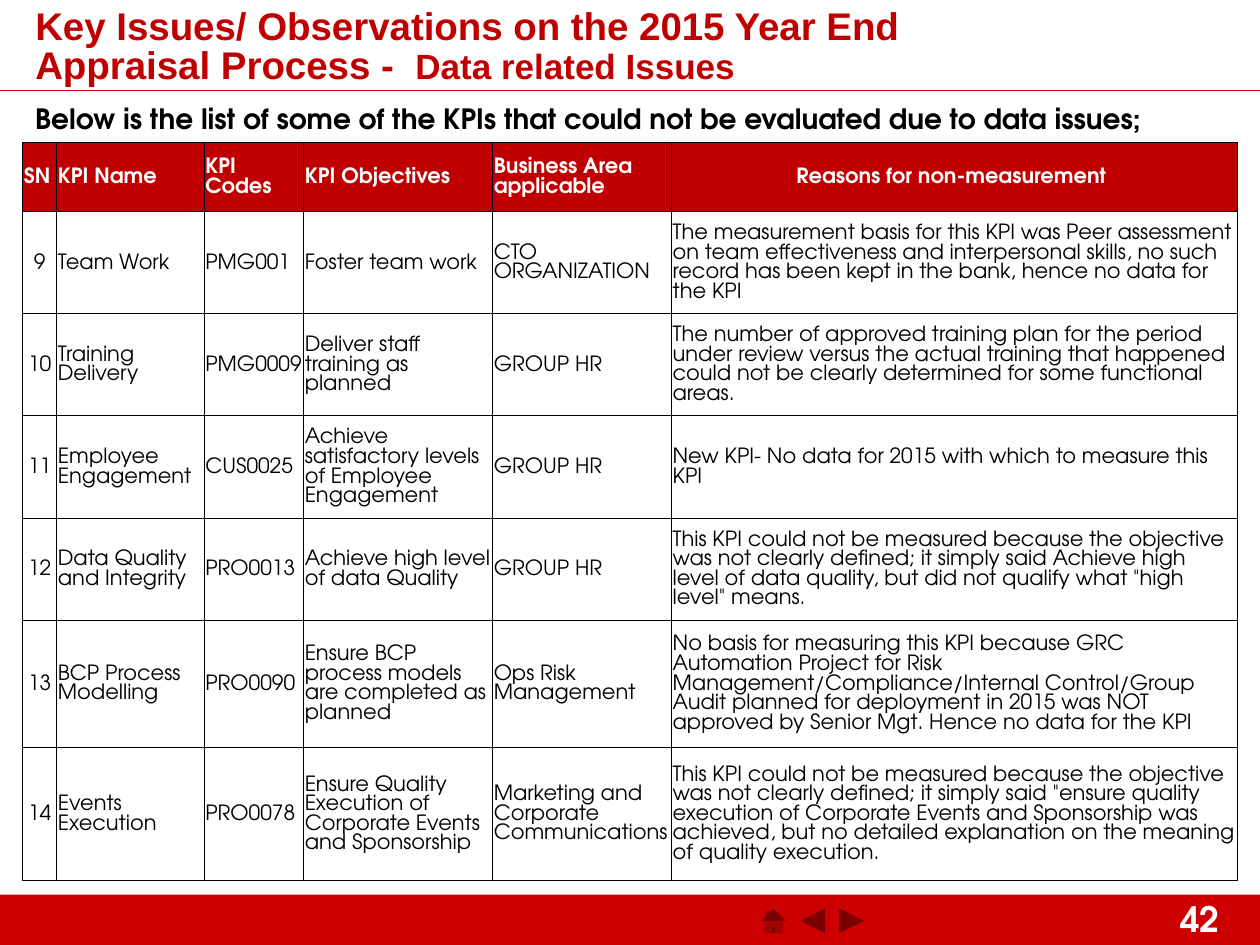
from dataclasses import dataclass

from lxml import etree
from pptx import Presentation
from pptx.dml.color import RGBColor
from pptx.enum.shapes import MSO_CONNECTOR, MSO_SHAPE
from pptx.enum.text import MSO_ANCHOR, MSO_AUTO_SIZE, PP_ALIGN
from pptx.oxml.ns import qn
from pptx.util import Inches, Pt

RECT = MSO_SHAPE.RECTANGLE
HOME = MSO_SHAPE.ACTION_BUTTON_HOME
NEXT = MSO_SHAPE.ACTION_BUTTON_FORWARD_OR_NEXT
BACK = MSO_SHAPE.ACTION_BUTTON_BACK_OR_PREVIOUS
LINE = MSO_CONNECTOR.STRAIGHT
MIDDLE, TOP = MSO_ANCHOR.MIDDLE, MSO_ANCHOR.TOP
LEFT, CENTER = PP_ALIGN.LEFT, PP_ALIGN.CENTER
FIXED = MSO_AUTO_SIZE.NONE

WIDE, HIGH = Inches(10), Inches(7.5)
RED, DARK, BLACK, WHITE = "CC0000", "C00000", "000000", "FFFFFF"
BODY, HEAD = "TeX Gyre Adventor", "Arial"

COLS = [2.7, 11.7, 7.9, 15, 14.2, 44.9]
ROWS = [7.33] + [10.8] * 4 + [13.44, 14.13]


@dataclass
class Box:
    left: float
    top: float
    width: float
    height: float

    def fit(self) -> tuple[int, int, int, int]:
        return across(self.left), down(self.top), across(self.width), down(self.height)


@dataclass
class Issue:
    number: str
    name: str
    code: str
    goal: str
    area: str
    reason: str

    def cells(self) -> list[str]:
        return [self.number, self.name, self.code, self.goal, self.area, self.reason]


TITLES = Issue("SN", "KPI Name", "KPI Codes", "KPI Objectives",
               "Business Area applicable", "Reasons for non-measurement ")
ISSUES = [
    Issue("9", "Team Work", "PMG001", "Foster team work", "CTO ORGANIZATION",
          "The measurement basis for this KPI was Peer assessment on team effectiveness and "
          "interpersonal skills, no such record has been kept in the bank, hence no data for the KPI"),
    Issue("10", "Training Delivery", "PMG0009", "Deliver staff training as planned", "GROUP HR",
          "The number of approved training plan for the period under review versus the actual "
          "training that happened could not be clearly determined for some functional areas."),
    Issue("11", "Employee Engagement", "CUS0025",
          "Achieve satisfactory levels of Employee Engagement", "GROUP HR",
          "New KPI- No data for 2015 with which to measure this KPI"),
    Issue("12", "Data Quality and Integrity", "PRO0013",
          "Achieve high level of data Quality", "GROUP HR",
          "This KPI could not be measured because the objective was not clearly defined; it simply "
          'said Achieve high level of data quality, but did not qualify what "high level" means.'),
    Issue("13", "BCP Process Modelling", "PRO0090",
          "Ensure BCP process models are completed as planned", "Ops Risk Management",
          "No basis for measuring this KPI because GRC Automation Project for Risk "
          "Management/Compliance/Internal Control/Group Audit planned for deployment in 2015 was "
          "NOT approved by Senior Mgt. Hence no data for the KPI"),
    Issue("14", "Events Execution", "PRO0078",
          "Ensure Quality Execution of Corporate Events and Sponsorship",
          "Marketing and Corporate Communications",
          "This KPI could not be measured because the objective was not clearly defined; it simply "
          'said "ensure quality execution of Corporate Events and Sponsorship was achieved, but no '
          'detailed explanation on the meaning of quality execution.'),
]


def across(share: float) -> int:
    return round(WIDE * share / 100)


def down(share: float) -> int:
    return round(HIGH * share / 100)


def tint(value: str) -> RGBColor:
    return RGBColor.from_string(value)


def style(para, face: str, size: float, color: str, bold: bool = True, align=LEFT) -> None:
    para.alignment = align
    font = para.font
    font.name, font.size, font.bold = face, Pt(size), bold
    font.color.rgb = tint(color)


def add_form(slide, kind, box: Box, flip: bool = False) -> None:
    form = slide.shapes.add_shape(kind, *box.fit())
    form.shadow.inherit = False
    form.fill.solid()
    form.fill.fore_color.rgb = tint(RED)
    form.line.fill.background()
    if flip:
        form._element.spPr.find(qn("a:xfrm")).set("flipH", "1")


def add_label(slide, box: Box, words: str, size: float, color: str) -> None:
    frame = slide.shapes.add_textbox(*box.fit()).text_frame
    frame.word_wrap = True
    frame.vertical_anchor = TOP
    frame.text = words
    style(frame.paragraphs[0], BODY, size, color)


def add_rule(slide, top: float) -> None:
    rule = slide.shapes.add_connector(LINE, 0, down(top), WIDE, down(top))
    rule.line.color.rgb = tint(RED)
    rule.line.width = Pt(0.75)
    etree.SubElement(rule._element.spPr, qn("a:effectLst"))


def set_title(slide, box: Box) -> None:
    title = slide.shapes.title
    title.left, title.top, title.width, title.height = box.fit()
    frame = title.text_frame
    frame.auto_size = FIXED
    frame.word_wrap = True
    frame.vertical_anchor = MIDDLE
    para = frame.paragraphs[0]
    style(para, HEAD, 22, DARK)
    para.line_spacing = 0.85
    para.add_run().text = "Key Issues/ Observations on the 2015 Year End Appraisal Process -  "
    tail = para.add_run()
    tail.text = "Data related Issues"
    tail.font.size = Pt(20)


def add_edges(cell) -> None:
    props = cell._tc.get_or_add_tcPr()
    for side in ("L", "R", "T", "B"):
        edge = etree.SubElement(props, qn(f"a:ln{side}"), w=str(Pt(0.5)))
        fill = etree.SubElement(edge, qn("a:solidFill"))
        etree.SubElement(fill, qn("a:srgbClr"), val=BLACK)


def fill_cell(cell, words: str, head: bool, align) -> None:
    add_edges(cell)
    if head:
        cell.fill.solid()
        cell.fill.fore_color.rgb = tint(DARK)
    else:
        cell.fill.background()
    cell.vertical_anchor = MIDDLE
    cell.margin_left = cell.margin_right = cell.margin_top = Inches(0.01)
    cell.margin_bottom = 0
    cell.text = words
    style(cell.text_frame.paragraphs[0], BODY, 12, WHITE if head else BLACK, head, align)


def add_grid(slide, left: float, top: float) -> None:
    box = Box(left, top, sum(COLS), sum(ROWS))
    table = slide.shapes.add_table(len(ROWS), len(COLS), *box.fit()).table
    table.first_row = table.horz_banding = False
    for col, share in zip(table.columns, COLS):
        col.width = across(share)
    for row, share in zip(table.rows, ROWS):
        row.height = down(share)
    for r, issue in enumerate([TITLES] + ISSUES):
        head = r == 0
        mid = len(COLS) - 1 if head else 0
        for c, words in enumerate(issue.cells()):
            fill_cell(table.cell(r, c), words, head, CENTER if c == mid else LEFT)


def main() -> None:
    deck = Presentation()
    deck.slide_width, deck.slide_height = WIDE, HIGH
    slide = deck.slides.add_slide(deck.slide_layouts[5])
    add_form(slide, RECT, Box(0, 94.67, 100, 5.33))
    add_label(slide, Box(92.7, 94.27, 7.3, 5.73), "42", 20, WHITE)
    for spot, kind in enumerate((HOME, NEXT, BACK)):
        add_form(slide, kind, Box(60.1 + 3.1 * spot, 95.25, 2.6, 4.4), True)
    add_rule(slide, 9.6)
    add_label(slide, Box(1.8, 10.13, 95.5, 4.93), TITLE_NOTE, 16, BLACK)
    set_title(slide, Box(1.8, 1.07, 79, 8))
    add_grid(slide, 1.8, 15.07)
    deck.save("out.pptx")


TITLE_NOTE = "Below is the list of some of the KPIs that could not be evaluated due to data issues;"

if __name__ == "__main__":
    main()
